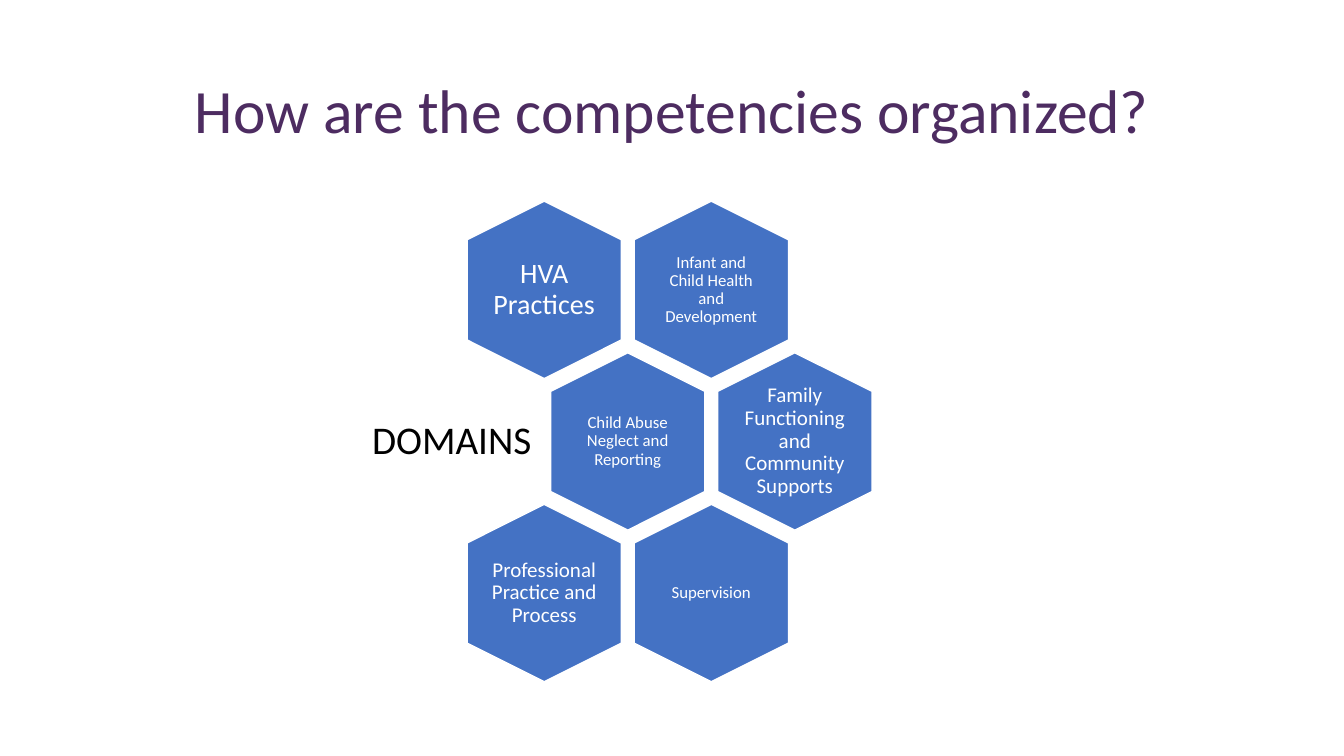
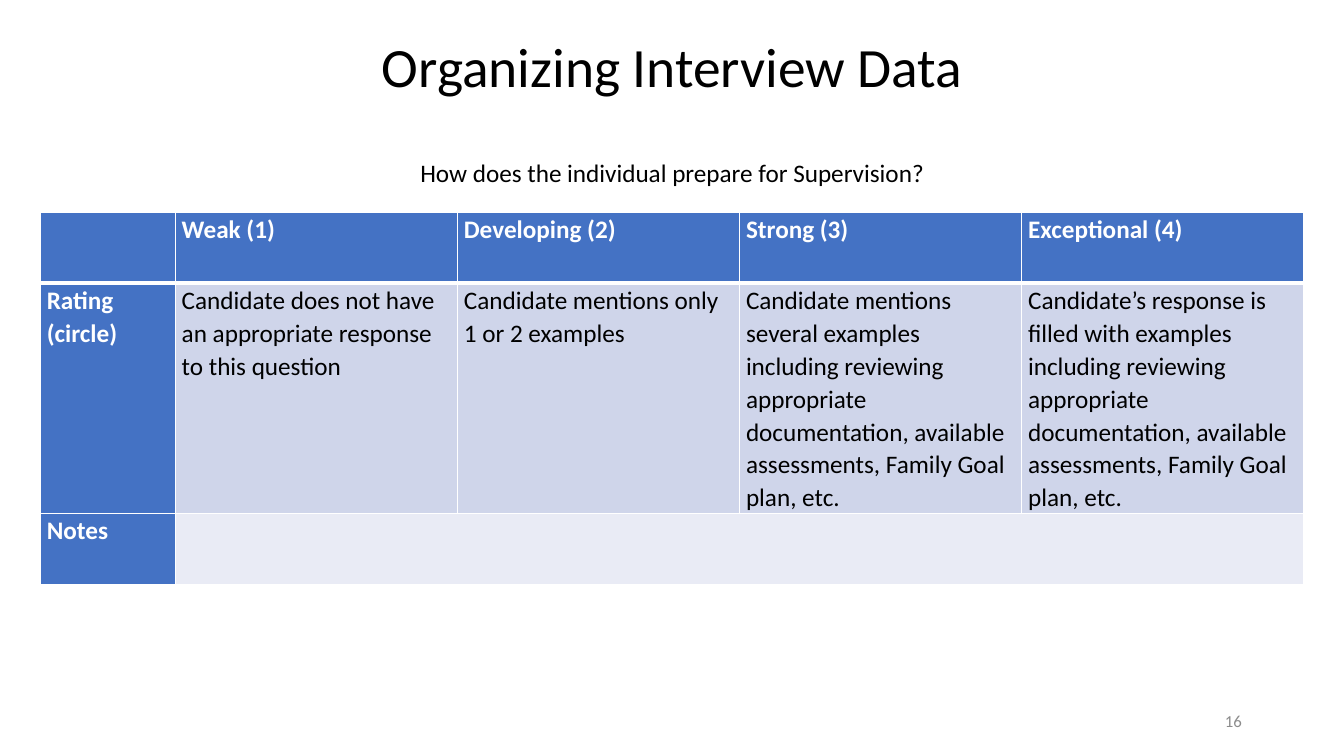
from lxml import etree
from pptx import Presentation
from pptx import util as u
from pptx.dml import color
from pptx.enum import shapes, text
from pptx.oxml import ns

COLORS = {
    "purple": "4D2C61",
    "blue": "4472C4",
    "band": "CFD5EA",
    "pale": "E9EBF5",
    "gray": "8C8C8C",
    "black": "000000",
    "white": "FFFFFF",
}
ALIGN = text.PP_ALIGN
TITLE_AREA = (2.34, 1.02, 29.21, 3.68)


def rgb(name):
    return color.RGBColor.from_string(COLORS[name])


def write(para, words, size=18, ink="black", bold=False, align=ALIGN.LEFT,
          spacing=0.9, before=0):
    para.alignment = align
    para.line_spacing = spacing
    para.space_before = u.Pt(before)
    span = para.add_run()
    span.text = words
    span.font.name = "Calibri"
    span.font.size = u.Pt(size)
    span.font.bold = bold
    span.font.color.rgb = rgb(ink)


def set_margins(holder, side, top):
    holder.margin_left = holder.margin_right = u.Cm(side)
    holder.margin_top = holder.margin_bottom = u.Cm(top)


def set_borders(cell, widths):
    properties = cell._tc.get_or_add_tcPr()
    for index, (side, width) in enumerate(widths.items()):
        line = etree.Element(ns.qn(f"a:ln{side}"), w=str(u.Pt(width)))
        fill = etree.SubElement(line, ns.qn("a:solidFill"))
        etree.SubElement(fill, ns.qn("a:srgbClr"), val=COLORS["white"])
        properties.insert(index, line)


class Slides:
    def __init__(self):
        self.deck = Presentation()
        self.deck.slide_width = u.Cm(33.87)
        self.deck.slide_height = u.Cm(19.05)
        self.page = None

    def add_page(self):
        self.page = self.deck.slides.add_slide(self.deck.slide_layouts[6])

    def text_box(self, area, words, side=0.25, top=0.13, **style):
        box = self.page.shapes.add_textbox(*map(u.Cm, area))
        frame = box.text_frame
        frame.word_wrap = True
        frame.vertical_anchor = text.MSO_ANCHOR.MIDDLE
        set_margins(frame, side, top)
        write(frame.paragraphs[0], words, **style)
        return frame

    def title(self, words, size=44, ink="black"):
        return self.text_box(TITLE_AREA, words, size=size, ink=ink,
                             align=ALIGN.CENTER)

    def hexagon(self, left, top, words, size):
        width, height = 4.47, 3.89
        label_width, label_height = 2.69, 3.07
        box = self.page.shapes.add_shape(
            shapes.MSO_SHAPE.HEXAGON, *map(u.Cm, (left, top, width, height)))
        box.rotation = 90
        box.shadow.inherit = False
        box.fill.solid()
        box.fill.fore_color.rgb = rgb("blue")
        box.line.color.rgb = rgb("white")
        box.line.width = u.Pt(1)
        inset = 0.13 if size == 12 else 0
        area = (left + (width - label_width) / 2,
                top + (height - label_height) / 2, label_width, label_height)
        self.text_box(area, words, inset, inset, size=size, ink="white",
                      align=ALIGN.CENTER)

    def table(self, left, top, widths, heights, rows):
        frame = self.page.shapes.add_table(
            len(heights), len(widths), u.Cm(left), u.Cm(top),
            u.Cm(sum(widths)), u.Cm(sum(heights)))
        grid = frame.table
        for column, width in zip(grid.columns, widths):
            column.width = u.Cm(width)
        for row, height in zip(grid.rows, heights):
            row.height = u.Cm(height)
        for i, (row, fill) in enumerate(zip(rows, ("blue", "band", "pale"))):
            for j, words in enumerate(row):
                self.cell(grid.cell(i, j), words, i, i == 0 or j == 0, fill)
        return grid

    def cell(self, cell, words, row, heading, fill):
        set_margins(cell, 0.16, 0)
        cell.fill.solid()
        cell.fill.fore_color.rgb = rgb("blue" if heading else fill)
        set_borders(cell, {"L": 1, "R": 1, "T": 3 if row == 1 else 1,
                           "B": 3 if row == 0 else 1})
        if words:
            write(cell.text_frame.paragraphs[0], words, bold=heading,
                  ink="white" if heading else "black", spacing=1.07)

    def page_number(self, number):
        self.text_box((23.93, 17.65, 7.62, 1.02), number, size=12, ink="gray",
                      align=ALIGN.RIGHT, spacing=1)


def domains_page(slides):
    slides.add_page()
    slides.title("How are the competencies organized?", ink="purple")
    rows = [
        [("HVA Practices", 20),
         ("Infant and Child Health and Development", 12)],
        [("Child Abuse Neglect and Reporting", 12),
         ("Family Functioning and Community Supports", 15)],
        [("Professional Practice and Process", 15), ("Supervision", 12)],
    ]
    across, down = 4.21, 3.82
    for i, row in enumerate(rows):
        for j, (words, size) in enumerate(row):
            left = 11.48 + (j + i % 2 / 2) * across
            slides.hexagon(left, 5.36 + i * down, words, size)
    slides.text_box((8.86, 9.78, 4.83, 2.69), "DOMAINS", 0.3, 0.3, size=28,
                    align=ALIGN.RIGHT)


def interview_page(slides):
    slides.add_page()
    frame = slides.title("Organizing Interview Data", size=39.6)
    write(frame.add_paragraph(), "How does the individual prepare for Supervision?",
          align=ALIGN.CENTER, before=43.5)
    ending = ("examples including reviewing appropriate documentation, "
              "available assessments, Family Goal plan, etc.")
    rows = [
        ["", "Weak (1)", "Developing (2)", "Strong (3)", "Exceptional (4)"],
        ["Rating (circle)",
         "Candidate does not have an appropriate response to this question",
         "Candidate mentions only 1 or 2 examples",
         f"Candidate mentions several {ending}",
         f"Candidate’s response is filled with {ending}"],
        ["Notes", "", "", "", ""],
    ]
    grid = slides.table(1.02, 5.36, [3.4] + [7.11] * 4, [1.78, 5.8, 1.78], rows)
    grid.cell(2, 1).merge(grid.cell(2, 4))
    slides.page_number("16")


def main():
    slides = Slides()
    domains_page(slides)
    interview_page(slides)
    slides.deck.save("out.pptx")


if __name__ == "__main__":
    main()
